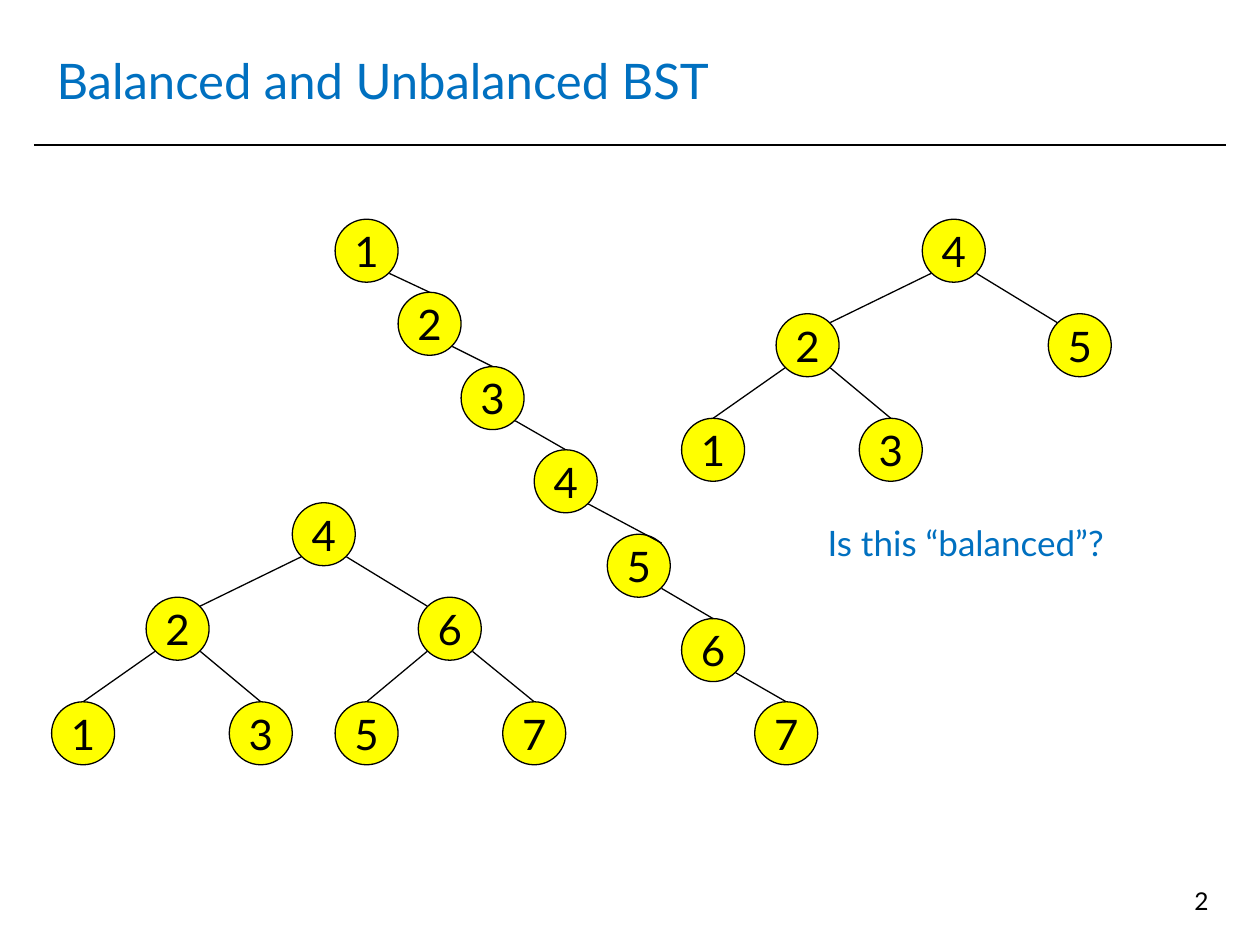
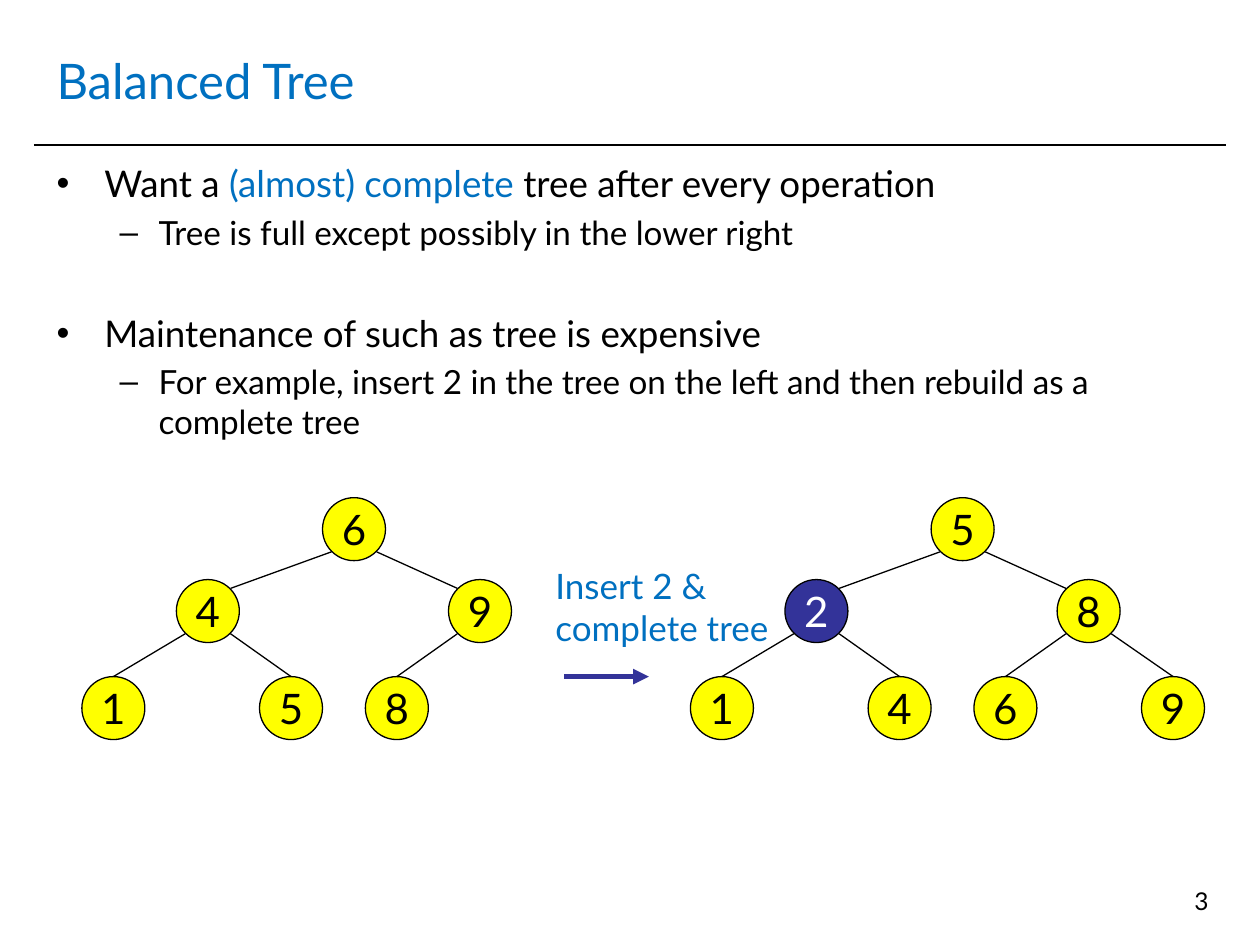
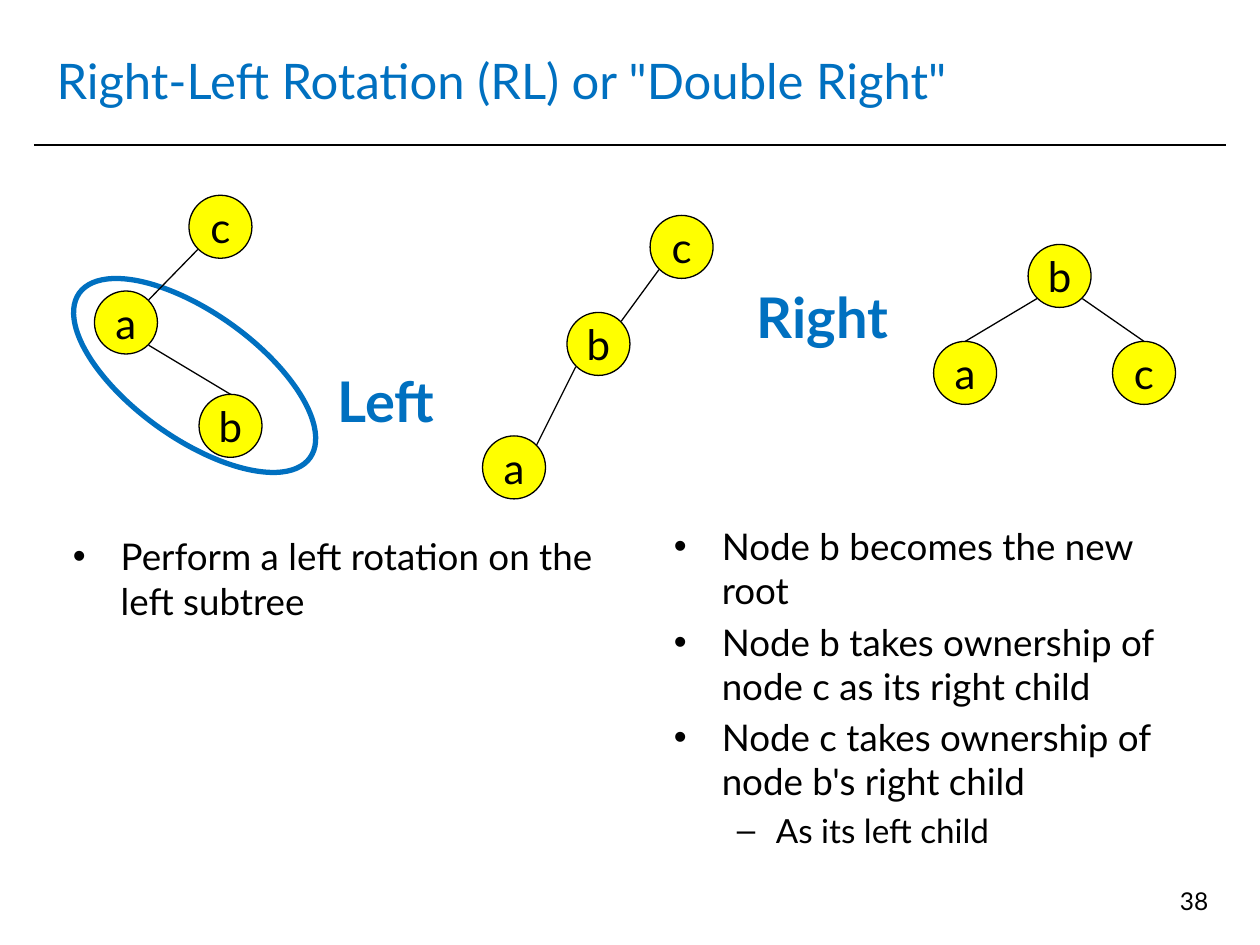
import pptx
import pptx.dml.color
import pptx.enum.shapes
import pptx.enum.text
import pptx.oxml.ns
import pptx.util
from lxml import etree
from pptx.util import Inches

RGBColor = pptx.dml.color.RGBColor
MSO_ANCHOR = pptx.enum.text.MSO_ANCHOR
PP_ALIGN = pptx.enum.text.PP_ALIGN
OVAL = pptx.enum.shapes.MSO_SHAPE.OVAL
STRAIGHT = pptx.enum.shapes.MSO_CONNECTOR.STRAIGHT
qn = pptx.oxml.ns.qn

BLACK = RGBColor(0x00, 0x00, 0x00)
WHITE = RGBColor(0xFF, 0xFF, 0xFF)
BLUE = RGBColor(0x00, 0x70, 0xC0)
INDIGO = RGBColor(0x33, 0x33, 0x99)
YELLOW = RGBColor(0xFF, 0xFF, 0x00)
FONT = "Lato"

NODE_SIZE = 0.5
NEAR, FAR = 0.07, 0.43  # where a node's diagonals meet its outline
# Level-order places of a three-level tree: parent, level, offset from the root
TREE_PLACES = [
    (None, 0, 0), (0, 1, -1.16), (0, 1, 1),
    (1, 2, -1.91), (1, 2, -0.5), (2, 2, 0.34), (2, 2, 1.67),
]
# Per level: marker, text indent, hanging indent, size
BULLETS = [("•", 0.38, 0.38, 21), ("–", 0.81, 0.31, 19)]


def write_text(para, text, *, size, color=BLACK, bold=False, align=PP_ALIGN.LEFT):
    """Fill a paragraph with a string or with (string, colour) spans."""
    para.alignment = align
    spans = [(text, color)] if isinstance(text, str) else text
    for words, span_color in spans:
        span = para.add_run()
        span.text = words
        span.font.name = FONT
        span.font.size = pptx.util.Pt(size)
        span.font.bold = bold
        span.font.color.rgb = span_color


def add_box(page, left, top, width, height, anchor=MSO_ANCHOR.TOP, wrap=True):
    box = page.shapes.add_textbox(*map(Inches, (left, top, width, height)))
    box.text_frame.word_wrap = wrap
    box.text_frame.vertical_anchor = anchor
    return box.text_frame


def next_paragraph(frame, index):
    return frame.add_paragraph() if index else frame.paragraphs[0]


def add_label(page, lines, place, anchor=MSO_ANCHOR.TOP, wrap=True, **style):
    frame = add_box(page, *place, anchor, wrap)
    for index, line in enumerate(lines):
        write_text(next_paragraph(frame, index), line, **style)


def add_bullets(page, items, place):
    """Each item is level, text and, optionally, the space before in points."""
    frame = add_box(page, *place)
    for index, (level, text, *space) in enumerate(items):
        marker, indent, hanging, size = BULLETS[level]
        para = next_paragraph(frame, index)
        if index:
            para.space_before = pptx.util.Pt(space[0] if space else size * 0.2)
        props = para._p.get_or_add_pPr()
        props.set("marL", str(Inches(indent)))
        props.set("indent", str(-Inches(hanging)))
        bullet_color = etree.SubElement(props, qn("a:buClr"))
        etree.SubElement(bullet_color, qn("a:srgbClr"), val=str(BLACK))
        etree.SubElement(props, qn("a:buFont"), typeface="Arial")
        etree.SubElement(props, qn("a:buChar"), char=marker)
        para.level = level
        write_text(para, text, size=size)


def add_line(page, start, end, color=BLACK, weight=0.75, arrow=False):
    line = page.shapes.add_connector(STRAIGHT, *map(Inches, (*start, *end)))
    line.line.color.rgb = color
    line.line.width = pptx.util.Pt(weight)
    if arrow:
        etree.SubElement(line.line._get_or_add_ln(), qn("a:tailEnd"), type="triangle")
    etree.SubElement(line._element.spPr, qn("a:effectLst"))


def add_oval(page, place, color, weight, fill=None):
    oval = page.shapes.add_shape(OVAL, *map(Inches, place))
    oval.shadow.inherit = False
    if fill is None:
        oval.fill.background()
    else:
        oval.fill.solid()
        oval.fill.fore_color.rgb = fill
    oval.line.color.rgb = color
    oval.line.width = pptx.util.Pt(weight)
    return oval


def add_node(page, label, left, top, highlighted=False):
    node = add_oval(page, (left, top, NODE_SIZE, NODE_SIZE), BLACK, 0.75,
                    INDIGO if highlighted else YELLOW)
    frame = node.text_frame
    frame.word_wrap = False
    frame.vertical_anchor = MSO_ANCHOR.MIDDLE
    write_text(frame.paragraphs[0], label, size=24, align=PP_ALIGN.CENTER,
               color=WHITE if highlighted else BLACK)


def add_edge(page, parent, child, end):
    """Join a parent's lower corner to its child's top, near or far corner."""
    goes_right = child[0] > parent[0]
    start_x = FAR if goes_right else NEAR
    end_x, end_y = {
        "top": (NODE_SIZE / 2, 0),
        "near": (NEAR if goes_right else FAR, NEAR),
        "far": (FAR if goes_right else NEAR, NEAR),
    }[end]
    add_line(page, (parent[0] + start_x, parent[1] + FAR),
             (child[0] + end_x, child[1] + end_y))


def add_graph(page, nodes, edges, highlighted=None):
    """Draw nodes {label: (left, top)} and edges (parent, child, end)."""
    for label, place in nodes.items():
        add_node(page, label, *place, label == highlighted)
    for parent, child, end in edges:
        add_edge(page, nodes[parent], nodes[child], end)


def add_tree(page, labels, left, top, drops=(0, 0.75, 1.58), highlighted=None):
    """Draw a tree whose labels are given in level order."""
    nodes, edges = {}, []
    for label, (parent, level, offset) in zip(labels, TREE_PLACES):
        nodes[label] = (left + offset, top + drops[level])
        if parent is not None:
            edges.append((labels[parent], label, "near" if level == 1 else "top"))
    add_graph(page, nodes, edges, highlighted)


def add_page(deck, title, number):
    page = deck.slides.add_slide(deck.slide_layouts[6])
    add_line(page, (0.27, 1.15), (9.73, 1.15), weight=1)
    add_label(page, [title], (0.35, 0.21, 9.29, 0.85), MSO_ANCHOR.MIDDLE,
              size=28, color=BLUE)
    add_label(page, [number], (7.36, 6.98, 2.33, 0.52), size=14, align=PP_ALIGN.RIGHT)
    return page


def build_balance_page(deck):
    page = add_page(deck, "Balanced and Unbalanced BST", "2")
    add_tree(page, "42513", 7.32, 1.74)
    chain = {
        "1": (2.66, 1.74), "2": (3.16, 2.32), "3": (3.66, 2.91), "4": (4.24, 3.57),
        "5": (4.82, 4.24), "6": (5.41, 4.91), "7": (5.99, 5.57),
    }
    labels = list(chain)
    add_graph(page, chain, [(parent, child, "far" if child == "5" else "top")
                            for parent, child in zip(labels, labels[1:])])
    add_tree(page, "4261357", 2.32, 3.99)
    add_label(page, ["Is this “balanced”?"], (6.47, 4.09, 2.5, 0.44), wrap=False,
              size=20, color=BLUE)


def build_complete_tree_page(deck):
    page = add_page(deck, "Balanced Tree", "3")
    add_bullets(page, [
        (0, [("Want a ", BLACK), ("(almost) complete ", BLUE),
             ("tree after every operation", BLACK)]),
        (1, "Tree is full except possibly in the lower right"),
        (0, "Maintenance of such as tree is expensive", 33.6),
        (1, "For example, insert 2 in the tree on the left and then rebuild as a "
            "complete tree"),
    ], (0.35, 1.23, 9.29, 5.59))
    add_label(page, ["Insert 2 &", "complete tree"], (4.31, 4.43, 1.9, 0.77),
              wrap=False, size=20, color=BLUE)
    drops = (0, 0.65, 1.42)
    add_tree(page, "649158", 2.56, 3.95, drops)
    add_tree(page, "5281469", 7.39, 3.95, drops, highlighted="2")
    add_line(page, (4.48, 5.37), (5.15, 5.37), INDIGO, 3, arrow=True)


def build_rotation_page(deck):
    page = add_page(deck, 'Right-Left Rotation (RL) or "Double Right"', "38")
    for word, left, top in [("Left", 2.58, 2.8), ("Right", 5.91, 2.13)]:
        add_label(page, [word], (left, top, 2.17, 0.75), MSO_ANCHOR.MIDDLE,
                  size=32, color=BLUE, bold=True)
    subtree_ring = add_oval(page, (0.42, 2.48, 2.25, 1), BLUE, 3)
    subtree_ring.rotation = 215.5
    add_graph(page, {"b": (8.16, 1.94), "a": (7.41, 2.71), "c": (8.83, 2.71)},
              [("b", "a", "top"), ("b", "c", "top")])
    add_graph(page, {"c": (1.5, 1.55), "b": (1.58, 3.13), "a": (0.75, 2.31)},
              [("c", "a", "near"), ("a", "b", "top")])
    add_graph(page, {"c": (5.16, 1.71), "a": (3.83, 3.46), "b": (4.5, 2.48)},
              [("c", "b", "near"), ("b", "a", "near")])
    add_bullets(page, [(0, "Perform a left rotation on the left subtree")],
                (0.48, 4.19, 4.42, 1.08))
    add_bullets(page, [
        (0, "Node b becomes the new root"),
        (0, "Node b takes ownership of node c as its right child"),
        (0, "Node c takes ownership of node b's right child"),
        (1, "As its left child"),
    ], (5.25, 4.11, 4.42, 2.87))


def main():
    deck = pptx.Presentation()
    deck.slide_width, deck.slide_height = Inches(10), Inches(7.5)
    build_balance_page(deck)
    build_complete_tree_page(deck)
    build_rotation_page(deck)
    deck.save("out.pptx")


if __name__ == "__main__":
    main()
